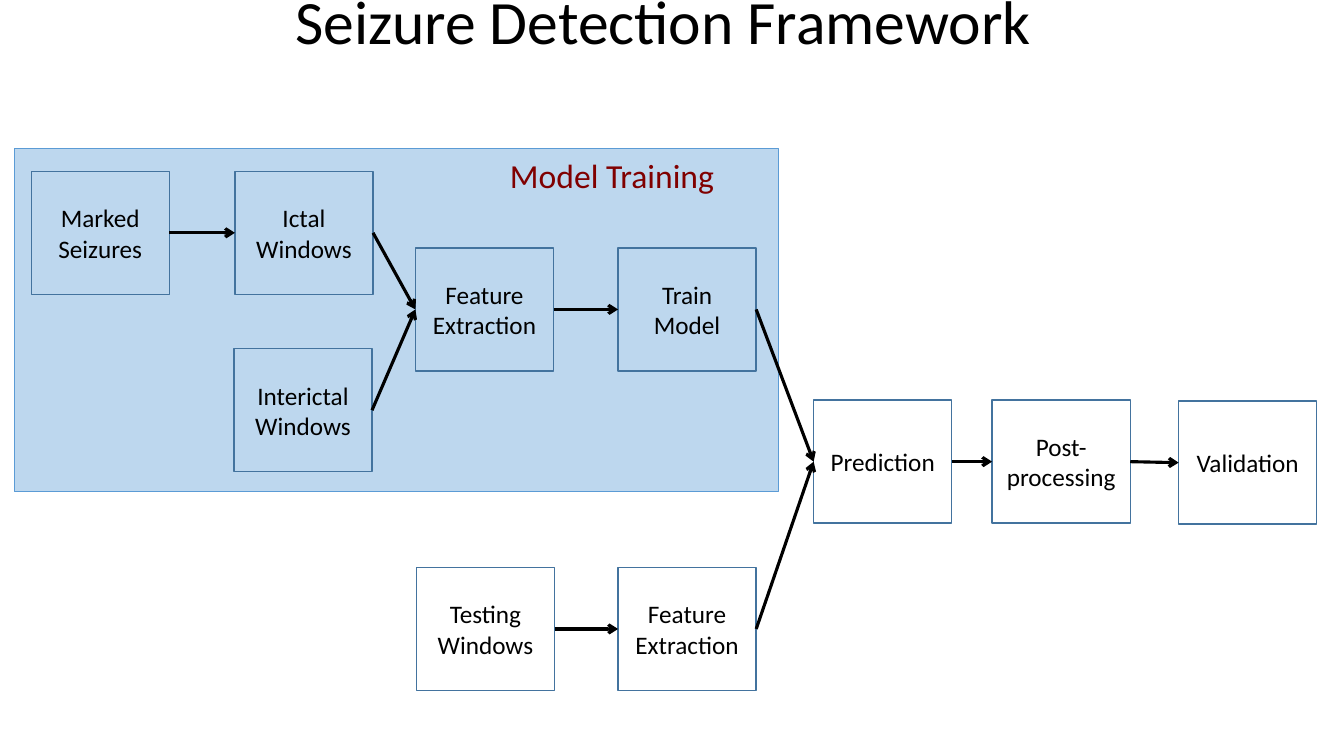
import pptx
import pptx.util
import pptx.dml.color
import pptx.enum.shapes
import pptx.enum.text
import pptx.oxml
import pptx.oxml.ns
from pptx.util import Inches

TOP, LEFT, BOTTOM, RIGHT = range(4)


def colour(hex_code):
    return pptx.dml.color.RGBColor.from_string(hex_code)


class FrameworkSlide:
    """Draws styled elements on one slide."""

    font = "Calibri"
    ink = "000000"
    step_size = (1.37, 1.22)
    step_line = "43739E"

    def __init__(self, slide):
        self.slide = slide

    def style_text(self, frame, size, hex_code, align):
        for paragraph in frame.paragraphs:
            paragraph.alignment = align
            for run in paragraph.runs:
                run.font.name = self.font
                run.font.size = pptx.util.Pt(size)
                run.font.color.rgb = colour(hex_code)

    def title(self, text, left, top, width, height):
        heading = self.slide.shapes.title
        heading.left, heading.top = Inches(left), Inches(top)
        heading.width, heading.height = Inches(width), Inches(height)
        frame = heading.text_frame
        frame.text = text
        frame.auto_size = pptx.enum.text.MSO_AUTO_SIZE.NONE
        frame.vertical_anchor = pptx.enum.text.MSO_ANCHOR.MIDDLE
        frame.paragraphs[0].line_spacing = 0.9
        self.style_text(frame, 44, self.ink, pptx.enum.text.PP_ALIGN.CENTER)

    def rectangle(self, left, top, width, height, line, weight, fill=None):
        box = self.slide.shapes.add_shape(
            pptx.enum.shapes.MSO_SHAPE.RECTANGLE,
            Inches(left), Inches(top), Inches(width), Inches(height))
        box.shadow.inherit = False
        if fill:
            box.fill.solid()
            box.fill.fore_color.rgb = colour(fill)
        else:
            box.fill.background()
        box.line.color.rgb = colour(line)
        box.line.width = pptx.util.Pt(weight)
        return box

    def step(self, text, left, top):
        box = self.rectangle(left, top, *self.step_size, self.step_line, 1)
        frame = box.text_frame
        frame.text = text
        frame.word_wrap = True
        frame.vertical_anchor = pptx.enum.text.MSO_ANCHOR.MIDDLE
        self.style_text(frame, 18, self.ink, pptx.enum.text.PP_ALIGN.CENTER)
        return box

    def label(self, text, left, top, width, height, hex_code):
        caption = self.slide.shapes.add_textbox(
            Inches(left), Inches(top), Inches(width), Inches(height))
        frame = caption.text_frame
        frame.text = text
        frame.word_wrap = False
        frame.auto_size = pptx.enum.text.MSO_AUTO_SIZE.SHAPE_TO_FIT_TEXT
        self.style_text(frame, 24, hex_code, pptx.enum.text.PP_ALIGN.LEFT)

    def arrow(self, source, target):
        """Join the right side of one step to the left side of the next."""
        link = self.slide.shapes.add_connector(
            pptx.enum.shapes.MSO_CONNECTOR.STRAIGHT, 0, 0, 0, 0)
        link.begin_connect(source, RIGHT)
        link.end_connect(target, LEFT)
        link.line.color.rgb = colour(self.ink)
        link.line.width = pptx.util.Pt(2.25)
        head = pptx.oxml.parse_xml(
            f'<a:tailEnd {pptx.oxml.ns.nsdecls("a")} type="arrow"/>')
        link.line._get_or_add_ln().append(head)
        link._element.spPr.append(pptx.oxml.parse_xml(
            f'<a:effectLst {pptx.oxml.ns.nsdecls("a")}/>'))


def main():
    deck = pptx.Presentation()
    deck.slide_width, deck.slide_height = Inches(13.33), Inches(7.5)
    page = FrameworkSlide(deck.slides.add_slide(deck.slide_layouts[5]))

    page.rectangle(0.14, 1.47, 7.58, 3.41, "5B9BD5", 0.5, fill="BDD7EE")
    page.title("Seizure Detection Framework", 0.83, -0.48, 11.5, 1.45)
    page.label("Model Training", 4.96, 1.49, 2.27, 0.5, "800000")

    marked = page.step("Marked Seizures", 0.31, 1.7)
    ictal = page.step("Ictal\nWindows", 2.33, 1.7)
    interictal = page.step("Interictal Windows", 2.32, 3.46)
    training_features = page.step("Feature Extraction", 4.12, 2.46)
    train = page.step("Train Model", 6.13, 2.46)
    testing = page.step("Testing Windows", 4.13, 5.63)
    testing_features = page.step("Feature Extraction", 6.13, 5.63)
    prediction = page.step("Prediction", 8.07, 3.97)
    post_processing = page.step("Post-processing", 9.84, 3.97)
    validation = page.step("Validation", 11.69, 3.98)

    for source, target in (
        (marked, ictal),
        (ictal, training_features),
        (interictal, training_features),
        (training_features, train),
        (testing, testing_features),
        (testing_features, prediction),
        (train, prediction),
        (prediction, post_processing),
        (post_processing, validation),
    ):
        page.arrow(source, target)

    deck.save("out.pptx")


if __name__ == "__main__":
    main()
